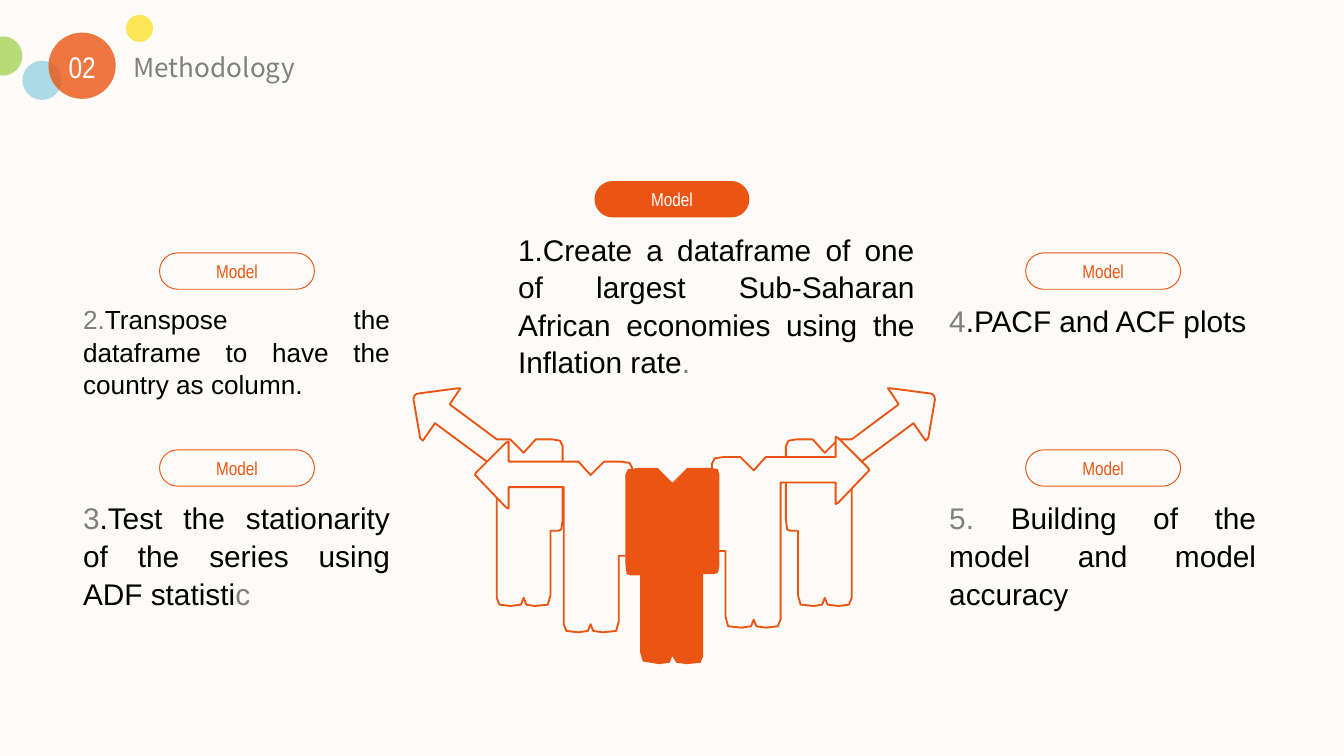
from dataclasses import dataclass

from lxml import etree
from pptx import Presentation
from pptx import util as u
from pptx.dml.color import RGBColor
from pptx.enum import shapes, text
from pptx.oxml import ns


@dataclass(frozen=True)
class Theme:
    paper: str = "FCFBF7"
    accent: str = "EA5514"
    white: str = "FFFFFF"
    black: str = "000000"
    grey: str = "808080"
    yellow: str = "FBE22D"
    green: str = "A9D25A"
    blue: str = "98D2E3"
    body_font: str = "Arial"
    label_font: str = "Arial Narrow"
    title_font: str = "Noto Sans CJK SC"
    body: int = 16
    small_body: int = 14
    title: int = 14
    label: int = 10


THEME = Theme()
ALIGN = text.PP_ALIGN
ANCHOR = text.MSO_ANCHOR
SHAPE = shapes.MSO_SHAPE
UNIT = u.Pt(0.72)  # outline grid: a hundredth of an inch

# Outlines of the people, relative to their own top left corner
OUTER_PERSON = [
    (3, 4), (33, 0), (35, 0), (27, 12), (62, 38), (72, 38), (82, 48), (91, 38),
    (103, 38), (109, 39), (111, 43), (111, 98), (110, 105), (108, 106),
    (102, 106), (102, 154), (100, 161), (90, 162), (84, 161), (82, 156),
    (80, 161), (72, 162), (64, 161), (62, 156), (62, 60), (16, 26), (7, 39),
    (5, 37), (0, 8), (1, 5)]
INNER_PERSON = [
    (1, 23), (23, 1), (25, 0), (25, 15), (77, 15), (86, 25), (96, 15),
    (108, 15), (115, 16), (117, 20), (117, 77), (116, 84), (114, 85),
    (107, 85), (107, 134), (105, 141), (95, 142), (88, 141), (86, 136),
    (84, 141), (77, 142), (68, 141), (66, 136), (66, 34), (25, 34), (25, 50),
    (23, 49), (2, 27), (0, 25)]
LEADER = [
    (35, 12), (46, 1), (64, 1), (69, 2), (70, 6), (70, 74), (69, 79),
    (66, 80), (58, 80), (58, 141), (56, 146), (46, 147), (38, 146), (35, 141),
    (33, 146), (25, 147), (13, 145), (11, 138), (11, 81), (4, 81), (1, 80),
    (0, 72), (0, 6), (2, 2), (10, 1), (24, 1)]


def set_all(target, values):
    for name, value in values.items():
        setattr(target, name, value)


def place(left, top, width, height):
    return [u.Pt(length) for length in (left, top, width, height)]


def paint(shape, fill, line=None, weight=1, alpha=None):
    shape.shadow.inherit = False
    shape.fill.solid()
    shape.fill.fore_color.rgb = RGBColor.from_string(fill)
    if alpha:
        color = shape.fill._xPr.find(".//" + ns.qn("a:srgbClr"))
        etree.SubElement(color, ns.qn("a:alpha"), val=str(alpha * 1000))
    if line:
        shape.line.color.rgb = RGBColor.from_string(line)
        shape.line.width = u.Pt(weight)
    else:
        shape.line.fill.background()


def write(shape, spans, font, size, align, anchor=ANCHOR.TOP, spacing=1.0):
    """Fill a shape with one paragraph of (words, colour) spans."""
    frame = shape.text_frame
    set_all(frame, dict(word_wrap=True, auto_size=text.MSO_AUTO_SIZE.NONE,
                        vertical_anchor=anchor, margin_left=0, margin_top=0,
                        margin_right=0, margin_bottom=0))
    para = frame.paragraphs[0]
    set_all(para, dict(alignment=align, line_spacing=spacing))
    for words, color in spans:
        span = para.add_run()
        span.text = words
        set_all(span.font, dict(name=font, size=u.Pt(size), bold=False))
        span.font.color.rgb = RGBColor.from_string(color)


def add_header(page, left, top):
    """Coloured dots, section number and title."""
    dots = [(76.5, 0, 14.5, 14.5, THEME.yellow), (0, 11.5, 21, 21, THEME.green),
            (21, 24.5, 21, 21, THEME.blue), (35, 9.5, 36, 35.5, THEME.accent)]
    for x, y, width, height, color in dots:
        dot = page.shapes.add_shape(
            SHAPE.OVAL, *place(left + x, top + y, width, height))
        paint(dot, color, alpha=80)

    number = page.shapes.add_textbox(*place(left + 40, top + 18, 26, 19.5))
    write(number, [("02", THEME.white)], THEME.label_font, THEME.body,
          ALIGN.CENTER)

    title = page.shapes.title
    names = ("left", "top", "width", "height")
    set_all(title, dict(zip(names, place(left + 80.5, top + 19, 219, 17.5))))
    write(title, [("Methodology", THEME.grey)], THEME.title_font, THEME.title,
          ALIGN.LEFT, ANCHOR.MIDDLE)


def add_person(page, left, top, outline, mirrored=False, solid=False):
    if mirrored:
        width = max(x for x, _ in outline)
        outline = [(width - x, y) for x, y in outline]
    builder = page.shapes.build_freeform(*outline[0], scale=UNIT)
    builder.add_line_segments(outline[1:], close=True)
    person = builder.convert_to_shape(u.Pt(left), u.Pt(top))
    if solid:
        paint(person, THEME.accent)
    else:
        paint(person, THEME.paper, THEME.accent)


def add_team(page, left, top):
    """Two mirrored pairs of people behind their leader."""
    add_person(page, left + 199.5, top, OUTER_PERSON, mirrored=True)
    add_person(page, left, top, OUTER_PERSON)
    add_person(page, left + 33, top + 28.5, INNER_PERSON)
    add_person(page, left + 160, top + 26, INNER_PERSON, mirrored=True)
    add_person(page, left + 113.5, top + 42, LEADER, solid=True)


def add_step(page, left, top, width, height, spans, size=THEME.body,
             solid=False):
    """A pill label above a justified description."""
    pill = page.shapes.add_shape(
        SHAPE.ROUNDED_RECTANGLE, *place(left + 41, top, 83, 19.5))
    pill.adjustments[0] = 0.5
    if solid:
        paint(pill, THEME.accent)
    else:
        paint(pill, THEME.paper, THEME.accent, 0.5)
    write(pill, [("Model", THEME.white if solid else THEME.accent)],
          THEME.label_font, THEME.label, ALIGN.CENTER, ANCHOR.MIDDLE)

    body = page.shapes.add_textbox(
        *place(left, top + 26, width, height - 26))
    write(body, spans, THEME.body_font, size, ALIGN.JUSTIFY, spacing=1.05)


def main():
    deck = Presentation()
    set_all(deck, dict(slide_width=u.Pt(720), slide_height=u.Pt(405)))
    page = deck.slides.add_slide(deck.slide_layouts.get_by_name("Title Only"))
    page.background.fill.solid()
    page.background.fill.fore_color.rgb = RGBColor.from_string(THEME.paper)

    add_team(page, 221.5, 208)

    grey, black = THEME.grey, THEME.black
    left, right, upper, lower, width = 44.5, 508.5, 135.5, 241, 164.5
    add_step(page, right, upper, width, 45.5,
             [("4", grey), (".PACF and ACF plots", black)])
    add_step(page, right, lower, width, 84.5,
             [("5. ", grey),
              ("Building of the model and model accuracy", black)])
    add_step(page, left, upper, width, 77,
             [("2.", grey),
              ("Transpose the dataframe to have the country as column.",
               black)], THEME.small_body)
    add_step(page, left, lower, width, 84.5,
             [("3", grey),
              (".Test the stationarity of the series using ADF statisti",
               black), ("c", grey)])
    add_step(page, 277.5, 97, 212.5, 104,
             [("1.Create a dataframe of one of largest Sub-Saharan African "
               "economies using the Inflation rate", black), (".", grey)],
             solid=True)

    add_header(page, -9, 8)
    deck.save("out.pptx")


if __name__ == "__main__":
    main()
